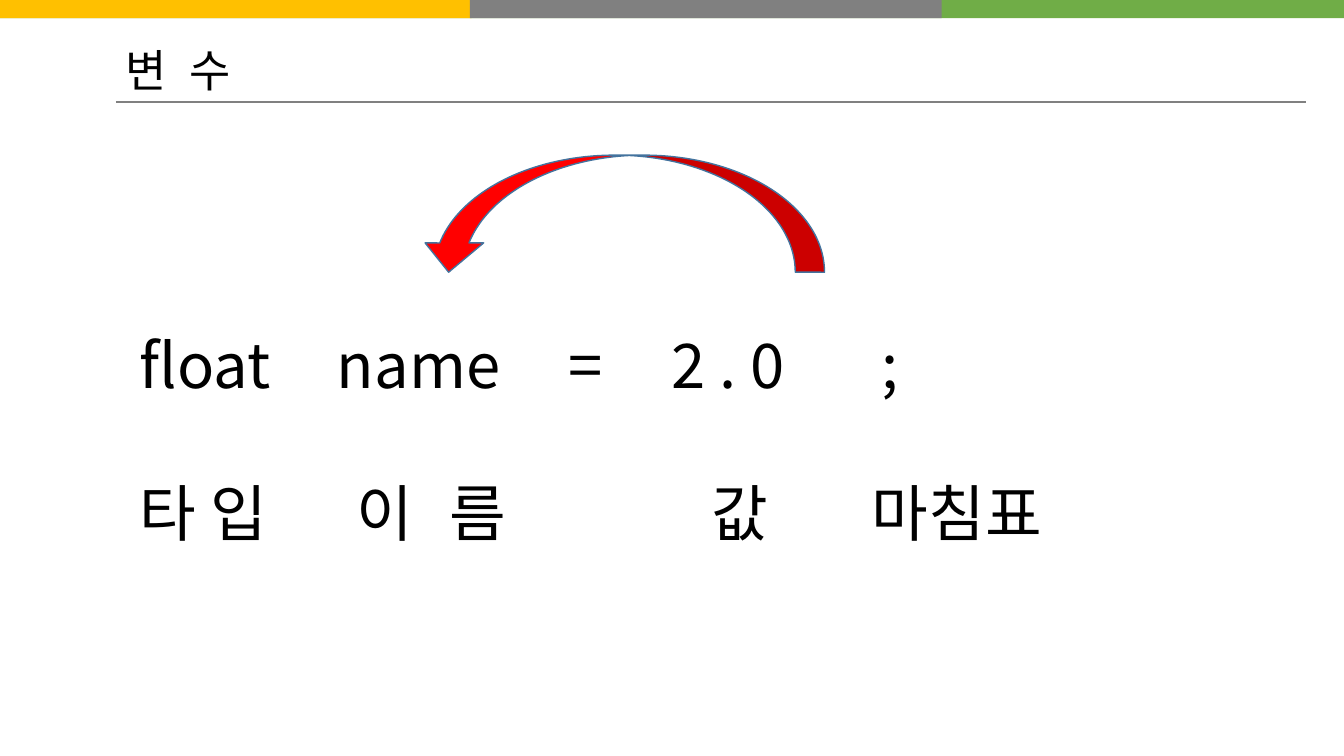
from lxml import etree
from pptx import Presentation
from pptx.dml.color import RGBColor
from pptx.enum.shapes import MSO_CONNECTOR, MSO_SHAPE
from pptx.enum.text import MSO_AUTO_SIZE
from pptx.oxml.ns import qn
from pptx.util import Cm, Pt

STRAIGHT = MSO_CONNECTOR.STRAIGHT
RECTANGLE = MSO_SHAPE.RECTANGLE
CURVED_ARROW = MSO_SHAPE.CURVED_DOWN_ARROW
GROW = MSO_AUTO_SIZE.SHAPE_TO_FIT_TEXT

FONT = "Noto Sans CJK KR"
SLIDE_WIDTH, SLIDE_HEIGHT = 33.87, 19.05
MARGIN_LEFT = 2.92


def color(hex_code):
    return RGBColor.from_string(hex_code)


def add_words(slide, box, rows, size, inset=0.25, spacing=1.0):
    """Write rows of (words, tab positions in cm); each later word sits on its tab."""
    frame = slide.shapes.add_textbox(*map(Cm, box)).text_frame
    frame.word_wrap = True
    frame.auto_size = GROW
    frame.margin_left = Cm(inset)
    for index, (words, stops) in enumerate(rows):
        paragraph = frame.add_paragraph() if index else frame.paragraphs[0]
        paragraph.text = "\t".join(words)
        paragraph.line_spacing = spacing
        tabs = etree.SubElement(paragraph._p.get_or_add_pPr(), qn("a:tabLst"))
        for stop in stops:
            etree.SubElement(tabs, qn("a:tab"), pos=str(Cm(stop)), algn="l")
        for run in paragraph.runs:
            run.font.size = Pt(size)
            run.font.name = FONT
            run.font.color.rgb = color("000000")
            etree.SubElement(run._r.get_or_add_rPr(), qn("a:ea"), typeface=FONT)


def add_top_bar(slide, left, top, width, height):
    band = 11.89
    segments = [(0, width, "70AD47"), (0, band, "FFC000"), (11.84, band, "808080")]
    bar = slide.shapes.add_group_shape()
    for offset, length, fill in segments:
        segment = bar.shapes.add_shape(
            RECTANGLE, Cm(left + offset), Cm(top), Cm(length), Cm(height))
        segment.shadow.inherit = False
        segment.fill.solid()
        segment.fill.fore_color.rgb = color(fill)
        segment.line.fill.background()


def add_heading(slide, left, top, width, height):
    add_words(slide, (left, top, 9.98, height), [(["변", "수"], [1.61])], 32)
    bottom = Cm(top + height)
    rule = slide.shapes.add_connector(
        STRAIGHT, Cm(left), bottom, Cm(left + width), bottom)
    rule.line.color.rgb = color("808080")
    rule.line.width = Pt(1)
    etree.SubElement(rule._element.spPr, qn("a:effectLst"))


def add_declaration(slide, left, top, width, height):
    rows = [
        (["float", "name", "=", "2 . 0", ";"], [4.97, 10.82, 13.41, 18.7]),
        (["타 입", "이", "름", "값", "마침표"], [5.47, 7.82, 14.42, 18.45]),
    ]
    add_words(slide, (left, top, width, height), rows, 44, inset=0.6, spacing=2.0)


def add_assignment_arrow(slide, left, top, width, height):
    """Arrow running from the value back to the name."""
    arrow = slide.shapes.add_shape(
        CURVED_ARROW, Cm(left), Cm(top), Cm(width), Cm(height))
    arrow._element.spPr.find(qn("a:xfrm")).set("flipH", "1")
    arrow.shadow.inherit = False
    arrow.fill.solid()
    arrow.fill.fore_color.rgb = color("FF0000")
    arrow.line.color.rgb = color("43739E")
    arrow.line.width = Pt(1)


def main():
    deck = Presentation()
    deck.slide_width, deck.slide_height = Cm(SLIDE_WIDTH), Cm(SLIDE_HEIGHT)
    slide = deck.slides.add_slide(deck.slide_layouts[6])
    add_heading(slide, MARGIN_LEFT, 0.94, 30, 1.63)
    add_top_bar(slide, 0, 0, SLIDE_WIDTH, 0.46)
    add_declaration(slide, MARGIN_LEFT, 6.25, SLIDE_WIDTH - MARGIN_LEFT, 7.19)
    add_assignment_arrow(slide, 10.57, 3.91, 10.21, 2.95)
    deck.save("out.pptx")


if __name__ == "__main__":
    main()
